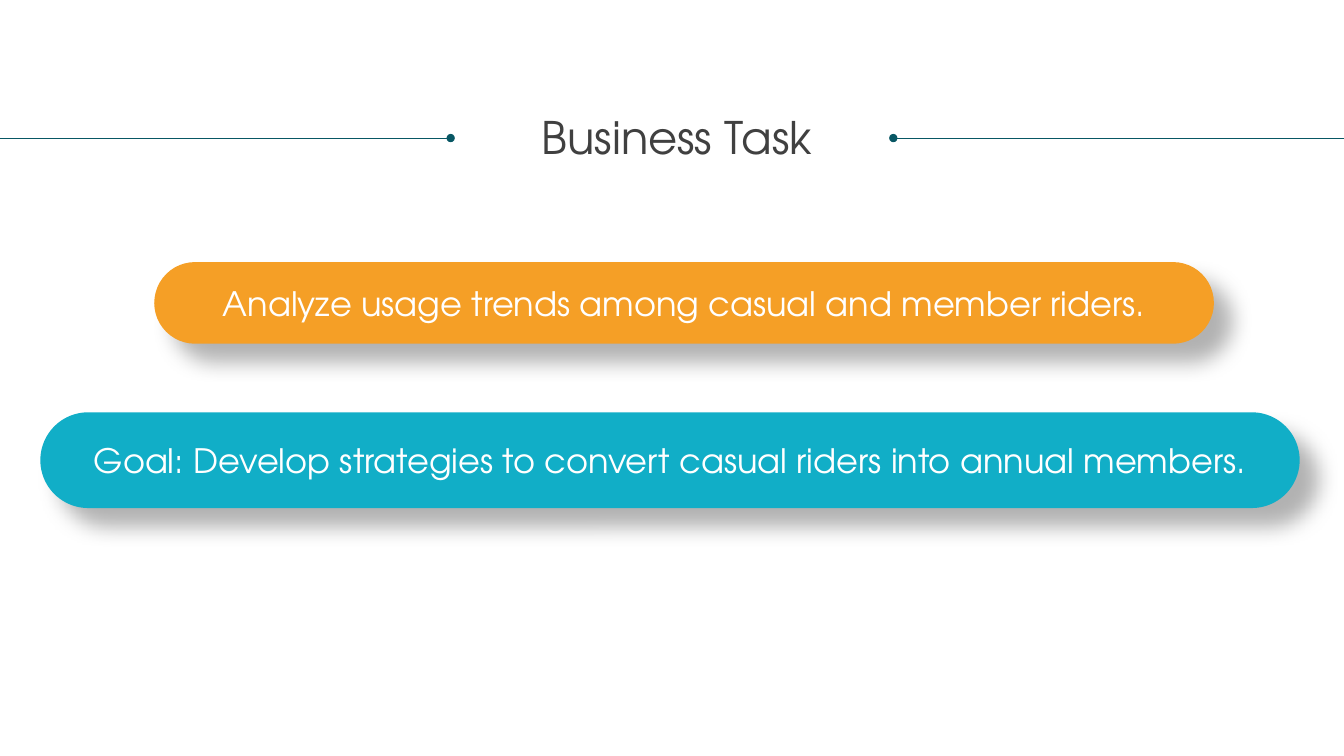
from dataclasses import dataclass

from lxml import etree
from pptx import Presentation
from pptx.dml.color import RGBColor
from pptx.enum.shapes import MSO_CONNECTOR, MSO_SHAPE
from pptx.enum.text import MSO_ANCHOR, MSO_AUTO_SIZE, PP_ALIGN
from pptx.oxml import parse_xml
from pptx.oxml.ns import nsdecls, qn
from pptx.slide import Slide
from pptx.text.text import TextFrame
from pptx.util import Inches, Pt

STRAIGHT = MSO_CONNECTOR.STRAIGHT
ROUNDED = MSO_SHAPE.ROUNDED_RECTANGLE
TOP, MIDDLE = MSO_ANCHOR.TOP, MSO_ANCHOR.MIDDLE
NO_FIT = MSO_AUTO_SIZE.NONE
CENTER = PP_ALIGN.CENTER

WHITE = RGBColor(0xFF, 0xFF, 0xFF)
GRAY = RGBColor(0x40, 0x40, 0x40)
TEAL = RGBColor(0x08, 0x57, 0x64)
ORANGE = RGBColor(0xF5, 0x9F, 0x26)
CYAN = RGBColor(0x11, 0xAE, 0xC7)

FONT = "TeX Gyre Adventor"
SLIDE_W, SLIDE_H = 13.33, 7.5
RULE_Y, RULE_LENGTH = 1.37, 4.47

SHADOW = f"""<a:effectLst {nsdecls("a")}>
  <a:outerShdw blurRad="{Pt(15)}" dist="{Pt(18)}" dir="{45 * 60000}" algn="tl" rotWithShape="0">
    <a:srgbClr val="000000"><a:alpha val="30000"/></a:srgbClr>
  </a:outerShdw>
</a:effectLst>"""


@dataclass(frozen=True)
class Rule:
    start: float
    end: float
    dot: str


@dataclass(frozen=True)
class Pill:
    text: str
    left: float
    top: float
    width: float
    height: float
    color: RGBColor


RULES = [
    Rule(0, RULE_LENGTH, "a:tailEnd"),
    Rule(SLIDE_W - RULE_LENGTH, SLIDE_W, "a:headEnd"),
]
PILLS = [
    Pill("Analyze usage trends among casual and member riders.",
         1.53, 2.6, 10.51, 0.81, ORANGE),
    Pill("Goal: Develop strategies to convert casual riders into annual members.",
         0.4, 4.09, 12.49, 0.95, CYAN),
]


def set_text(tf: TextFrame, text: str, *, size: float, color: RGBColor,
             anchor: MSO_ANCHOR = MIDDLE, spacing: float = 1.0) -> None:
    tf.word_wrap = True
    tf.vertical_anchor = anchor
    p = tf.paragraphs[0]
    p.alignment = CENTER
    p.line_spacing = spacing
    r = p.add_run()
    r.text = text
    r.font.name = FONT
    r.font.size = Pt(size)
    r.font.color.rgb = color


def add_title(s: Slide, text: str) -> None:
    title = s.shapes.title
    title.left, title.top = Inches(0.3), Inches(1.15)
    title.width, title.height = Inches(12.83), Inches(0.91)
    tf = title.text_frame
    tf.auto_size = NO_FIT
    tf.margin_left = tf.margin_right = tf.margin_top = tf.margin_bottom = 0
    set_text(tf, text, size=32, color=GRAY, anchor=TOP, spacing=0.9)


def add_rule(s: Slide, rule: Rule) -> None:
    line = s.shapes.add_connector(STRAIGHT, Inches(rule.start), Inches(RULE_Y),
                                  Inches(rule.end), Inches(RULE_Y))
    line.line.color.rgb = TEAL
    line.line.width = Pt(0.5)
    etree.SubElement(line.line._get_or_add_ln(), qn(rule.dot), type="oval")
    etree.SubElement(line._element.spPr, qn("a:effectLst"))


def add_pill(s: Slide, pill: Pill) -> None:
    sp = s.shapes.add_shape(ROUNDED, Inches(pill.left), Inches(pill.top),
                            Inches(pill.width), Inches(pill.height))
    sp.adjustments[0] = 0.5
    sp.fill.solid()
    sp.fill.fore_color.rgb = pill.color
    sp.line.fill.background()
    sp._element.spPr.append(parse_xml(SHADOW))
    set_text(sp.text_frame, pill.text, size=24, color=WHITE)


def main() -> None:
    prs = Presentation()
    prs.slide_width, prs.slide_height = Inches(SLIDE_W), Inches(SLIDE_H)
    s = prs.slides.add_slide(prs.slide_layouts[5])
    s.background.fill.solid()
    s.background.fill.fore_color.rgb = WHITE
    add_title(s, "Business Task")
    for rule in RULES:
        add_rule(s, rule)
    for pill in PILLS:
        add_pill(s, pill)
    prs.save("out.pptx")


if __name__ == "__main__":
    main()
